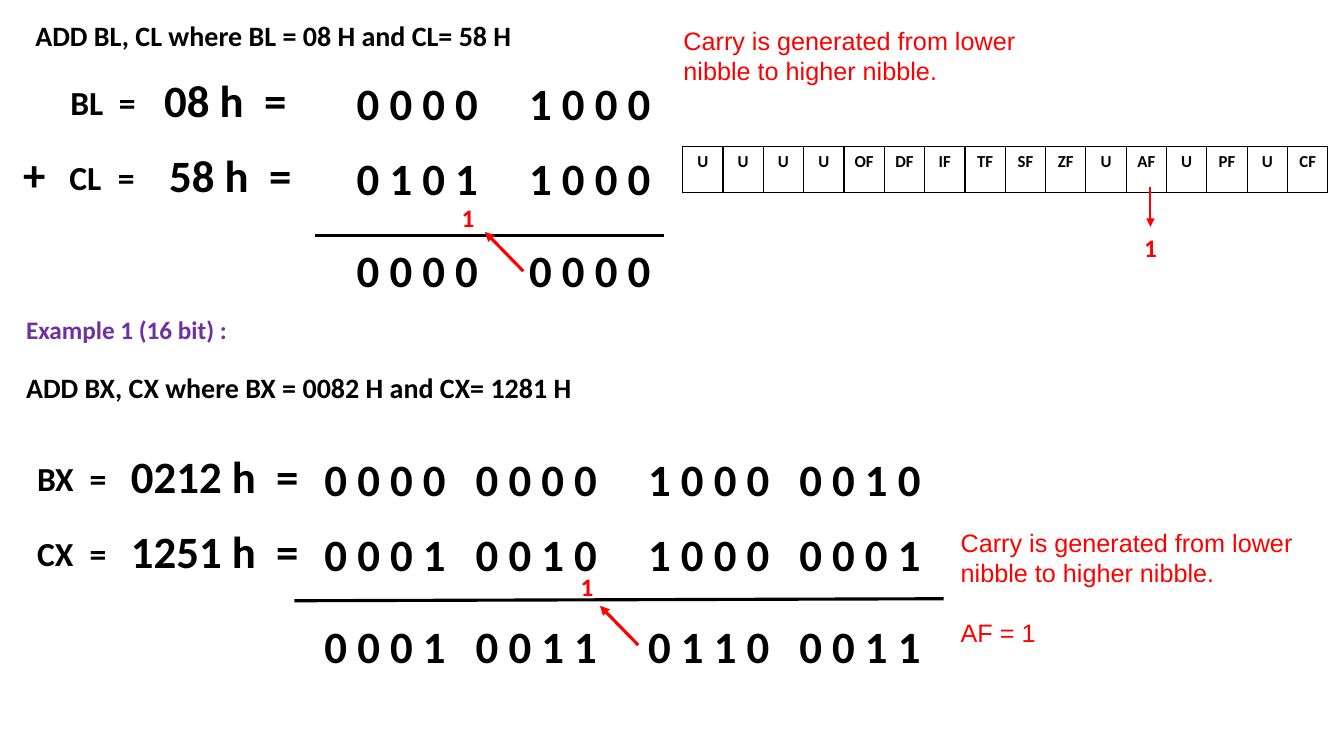
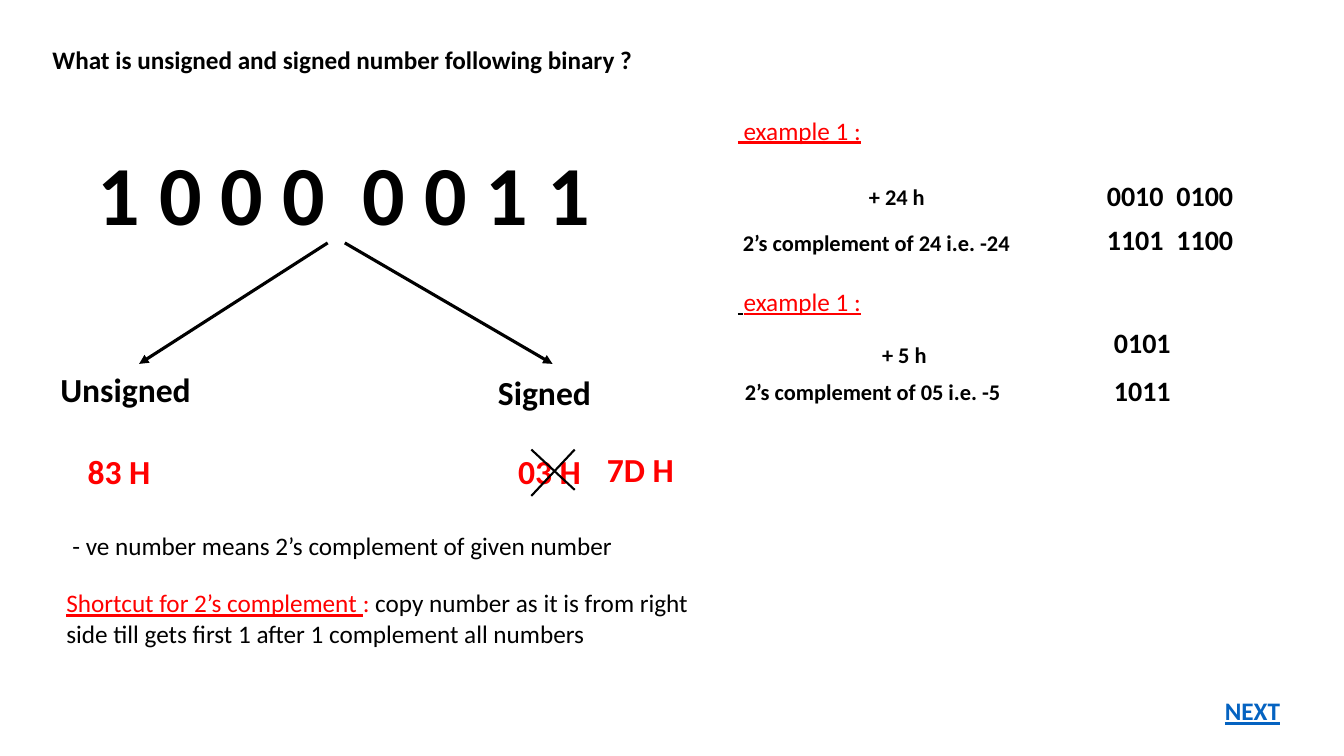
from lxml import etree
from pptx import Presentation
from pptx.dml.color import RGBColor
from pptx.enum.shapes import MSO_CONNECTOR
from pptx.enum.text import MSO_ANCHOR, MSO_AUTO_SIZE, PP_ALIGN
from pptx.oxml.ns import qn
from pptx.util import Inches, Pt

STRAIGHT = MSO_CONNECTOR.STRAIGHT
TOP = MSO_ANCHOR.TOP
NO_RESIZE = MSO_AUTO_SIZE.NONE
LEFT, CENTER = PP_ALIGN.LEFT, PP_ALIGN.CENTER

BLACK = RGBColor(0, 0, 0)
RED = RGBColor(0xFF, 0, 0)
PURPLE = RGBColor(0x70, 0x30, 0xA0)
LINK_BLUE = RGBColor(0x05, 0x63, 0xC1)

WIDTH, HEIGHT = 13.33, 7.5
TITLE_ONLY = 5

FLAGS = "U U U U OF DF IF TF SF ZF U AF U PF U CF".split()
FLAG_LEFT, FLAG_TOP, FLAG_WIDTH, FLAG_HEIGHT = 6.77, 1.45, 0.4, 0.46

CARRY_NOTE = "Carry is generated from lower nibble to higher nibble."

# Operands: register, its left, its tab, hex value, its left
ADDITIONS = [
    {
        "top": 0.7, "bits_left": 3.44, "bit_tabs": [1.71], "hex_tab": 0.99,
        "operands": [("BL\t=", 0.6, 0.48, "08 h\t=", 1.53),
                     ("CL\t=", 0.59, 0.48, "58 h\t=", 1.58)],
        "bits": ["0 0 0 0\t1 0 0 0", "0 1 0 1\t1 0 0 0", "0 0 0 0\t0 0 0 0"],
        "rule": (3.12, 2.34, 6.59, 2.34),
        "carry": (4.48, 1.96), "arrow_tip": (4.81, 2.3),
    },
    {
        "top": 4.43, "bits_left": 3.12, "bit_tabs": [1.5, 3.21, 4.71], "hex_tab": 1.44,
        "operands": [("BX\t=", 0.27, 0.52, "0212 h\t=", 1.2),
                     ("CX\t=", 0.27, 0.52, "1251 h\t=", 1.2)],
        "bits": ["0 0 0 0\t0 0 0 0\t1 0 0 0\t0 0 1 0",
                 "0 0 0 1\t0 0 1 0\t1 0 0 0\t0 0 0 1",
                 "0 0 0 1\t0 0 1 1\t0 1 1 0\t0 0 1 1"],
        "rule": (2.92, 5.96, 9.36, 5.94),
        "carry": (5.66, 5.62), "arrow_tip": (5.95, 6.01),
    },
]
ROW_OFFSETS = (0, 0.75, 1.66)

# Left, top, width, text, size, colour
SIGN_LABELS = [
    (0.5, 3.61, 1.77, "Unsigned", 24, BLACK),
    (4.84, 3.64, 1.32, "Signed", 24, BLACK),
    (0.77, 4.42, 0.95, "83 H", 24, RED),
    (5.04, 4.42, 0.95, "03 H", 24, RED),
    (5.92, 4.4, 1.16, "7D H", 24, RED),
    (8.52, 1.77, 1, "+ 24 h", 16, BLACK),
    (7.27, 2.22, 3.6, "2’s complement of 24 i.e. -24", 16, BLACK),
    (8.65, 3.34, 1, "+ 5 h", 16, BLACK),
    (7.29, 3.7, 3.6, "2’s complement of 05 i.e. -5", 16, BLACK),
    (10.95, 3.18, 1.5, "0101", 20, BLACK),
    (10.95, 3.66, 1.5, "1011", 20, BLACK),
]
COMPLEMENTS = [(1.72, "0010\t0100"), (2.16, "1101\t1100")]
SPLIT_ARROWS = [(3.25, 2.41, 1.38, 3.61), (3.42, 2.41, 5.48, 3.61)]
STRIKE_LINES = [(5.27, 4.46, 5.7, 4.86), (5.7, 4.46, 5.27, 4.92)]
# Text, colour, underlined
EXAMPLE_HEADS = [
    (1.09, [(" example 1 :", RED, True)]),
    (2.79, [(" ", BLACK, True), ("example 1 :", RED, True)]),
]
SHORTCUT = [
    ("Shortcut for 2’s complement ", RED, True),
    (": ", RED, False),
    ("copy number as it is from right side till gets first 1 "
     "after 1 complement all numbers", BLACK, False),
]


def set_font(font, size, color=None, bold=False, name="Calibri"):
    font.name = name
    font.size = Pt(size)
    font.bold = bold
    if color is not None:
        font.color.rgb = color


def set_tabs(paragraph, positions):
    tab_list = etree.SubElement(paragraph._p.get_or_add_pPr(), qn("a:tabLst"))
    for position in positions:
        etree.SubElement(tab_list, qn("a:tab"), pos=str(Inches(position)), algn="l")


def place(shape, left, top, width, size):
    """Position a text shape and give it the height of one line."""
    shape.left, shape.top, shape.width = Inches(left), Inches(top), Inches(width)
    shape.height = Inches(round(size * 1.22 / 72 + 0.1, 2))
    frame = shape.text_frame
    frame.word_wrap = True
    frame.auto_size = NO_RESIZE
    frame.vertical_anchor = TOP
    return frame


def add_text(slide, left, top, width, text, size, color=BLACK, bold=True,
             tabs=(), name="Calibri"):
    frame = place(slide.shapes.add_textbox(0, 0, 0, 0), left, top, width, size)
    frame.text = text
    for paragraph in frame.paragraphs:
        if tabs:
            set_tabs(paragraph, tabs)
        set_font(paragraph.font, size, color, bold, name)
    return frame


def add_runs(slide, left, top, width, runs, size=18):
    frame = place(slide.shapes.add_textbox(0, 0, 0, 0), left, top, width, size)
    paragraph = frame.paragraphs[0]
    set_font(paragraph.font, size)
    for text, color, underlined in runs:
        run = paragraph.add_run()
        run.text = text
        run.font.color.rgb = color
        run.font.underline = underlined


def add_line(slide, ends, color=BLACK, weight=2.25, arrow=False):
    connector = slide.shapes.add_connector(STRAIGHT, *map(Inches, ends))
    connector.line.color.rgb = color
    connector.line.width = Pt(weight)
    if arrow:
        etree.SubElement(connector.line._get_or_add_ln(), qn("a:tailEnd"), type="triangle")
    etree.SubElement(connector._element.spPr, qn("a:effectLst"))


def add_titled_slide(presentation, left, top, width, text, size):
    slide = presentation.slides.add_slide(presentation.slide_layouts[TITLE_ONLY])
    frame = place(slide.shapes.title, left, top, width, size)
    frame.text = text
    paragraph = frame.paragraphs[0]
    paragraph.alignment = LEFT
    set_font(paragraph.font, size, BLACK, True)
    return slide


def add_addition(slide, addition):
    """Lay out a binary sum with its rule, carry digit and carry arrow."""
    tops = [addition["top"] + offset for offset in ROW_OFFSETS]
    for top, bits in zip(tops, addition["bits"]):
        add_text(slide, addition["bits_left"], top, 6.3, bits, 32,
                 tabs=addition["bit_tabs"])
    for top, operand in zip(tops, addition["operands"]):
        register, register_left, register_tab, value, value_left = operand
        add_text(slide, register_left, top + 0.06, 1, register, 24, tabs=[register_tab])
        add_text(slide, value_left, top - 0.03, 1.91, value, 32,
                 tabs=[addition["hex_tab"]])
    add_line(slide, addition["rule"])
    add_text(slide, *addition["carry"], 0.35, "1", 18, RED)
    tip_x, tip_y = addition["arrow_tip"]
    add_line(slide, (tip_x + 0.38, tip_y + 0.39, tip_x, tip_y), RED, arrow=True)


def set_borders(cell):
    properties = cell._tc.get_or_add_tcPr()
    for index, side in enumerate(("lnL", "lnR", "lnT", "lnB")):
        border = etree.Element(qn("a:" + side), w=str(Pt(1)))
        fill = etree.SubElement(border, qn("a:solidFill"))
        etree.SubElement(fill, qn("a:srgbClr"), val=str(BLACK))
        properties.insert(index, border)


def add_flag_table(slide):
    table = slide.shapes.add_table(
        1, len(FLAGS), Inches(FLAG_LEFT), Inches(FLAG_TOP),
        Inches(FLAG_WIDTH * len(FLAGS)), Inches(FLAG_HEIGHT)).table
    table.first_row = table.horz_banding = False
    for cell, flag in zip(table.iter_cells(), FLAGS):
        cell.fill.background()
        cell.margin_left = cell.margin_right = Inches(0.04)
        cell.text = flag
        paragraph = cell.text_frame.paragraphs[0]
        paragraph.alignment = CENTER
        set_font(paragraph.font, 12, BLACK, True)
        set_borders(cell)


def build_carry_slide(presentation):
    slide = add_titled_slide(presentation, 0.25, 0.13, 6.4,
                             "ADD BL, CL where BL = 08 H and CL= 58 H", 20)
    for addition in ADDITIONS:
        add_addition(slide, addition)
    add_text(slide, 0.13, 1.41, 0.82, "+", 32)
    add_text(slide, 6.68, 0.2, 4.18, CARRY_NOTE, 18, RED, False, name="Arial")
    add_flag_table(slide)
    flag_center = FLAG_LEFT + (FLAGS.index("AF") + 0.5) * FLAG_WIDTH + 0.04
    add_line(slide, (flag_center, 1.86, flag_center, 2.25), RED, 1.5, arrow=True)
    add_text(slide, flag_center - 0.16, 2.26, 0.35, "1", 18, RED)
    add_text(slide, 0.16, 3.07, 2.66, "Example 1 (16 bit) :", 18, PURPLE)
    add_text(slide, 0.16, 3.63, 7.81, "ADD BX, CX where BX = 0082 H and CX= 1281 H", 20)
    note = add_text(slide, 9.43, 5.18, 3.9, CARRY_NOTE + "\nAF = 1", 18, RED, False,
                    name="Arial")
    note.paragraphs[1].space_before = Pt(21.5)


def build_sign_slide(presentation):
    slide = add_titled_slide(presentation, 0.42, 0.39, 7.25,
                             "What is unsigned and signed number following binary ?", 18)
    add_text(slide, 0.87, 1.35, 5.6, "1 0 0 0\t0 0 1 1", 60, tabs=[2.63])
    for ends in SPLIT_ARROWS:
        add_line(slide, ends, arrow=True)
    for label in SIGN_LABELS:
        add_text(slide, *label)
    for ends in STRIKE_LINES:
        add_line(slide, ends, weight=1.5)
    for top, bits in COMPLEMENTS:
        add_text(slide, 10.88, top, 2, bits, 20, tabs=[0.69])
    for top, runs in EXAMPLE_HEADS:
        add_runs(slide, 7.22, top, 1.88, runs)
    add_text(slide, 0.62, 5.21, 7, "- ve number means 2’s complement of given number",
             18, bold=False)
    add_runs(slide, 0.56, 5.78, 6.68, SHORTCUT)
    next_label = add_text(slide, 12.05, 6.85, 0.93, "NEXT", 18, LINK_BLUE)
    next_label.paragraphs[0].font.underline = True


def main():
    presentation = Presentation()
    presentation.slide_width, presentation.slide_height = Inches(WIDTH), Inches(HEIGHT)
    build_carry_slide(presentation)
    build_sign_slide(presentation)
    presentation.save("out.pptx")


if __name__ == "__main__":
    main()
